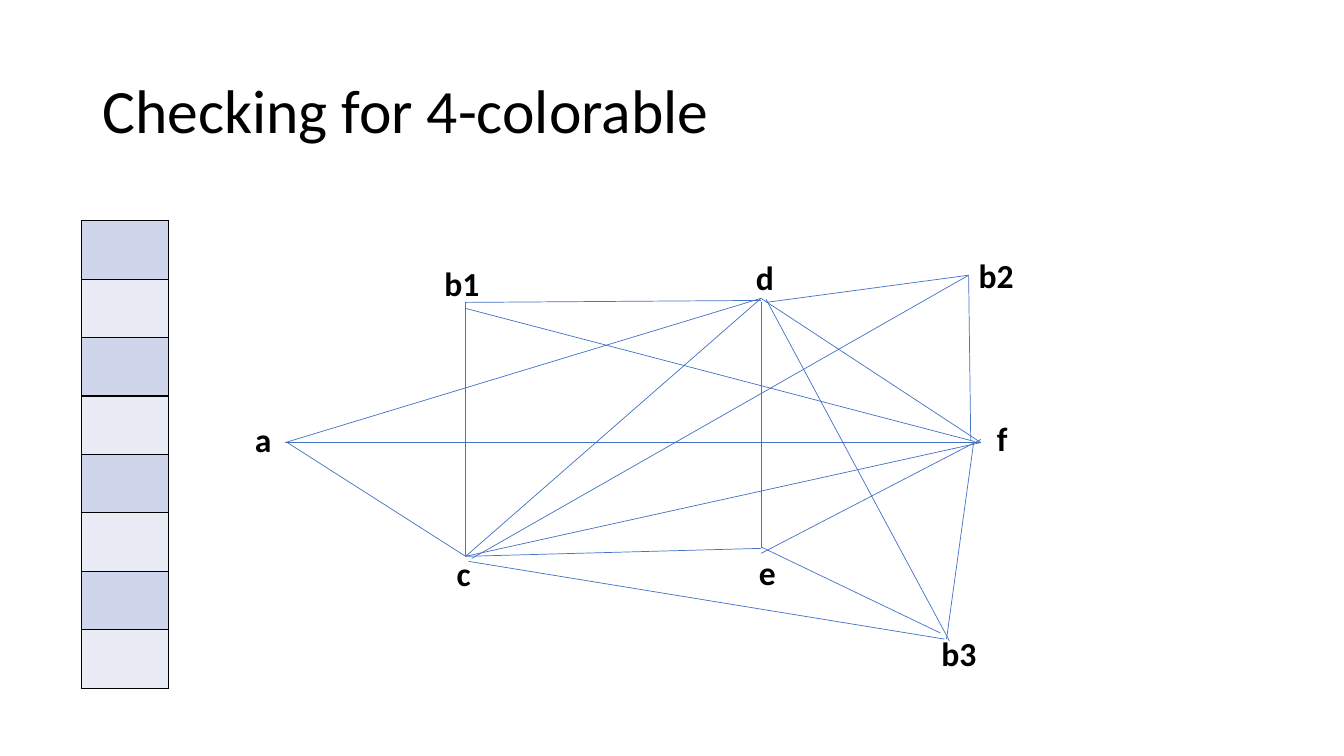
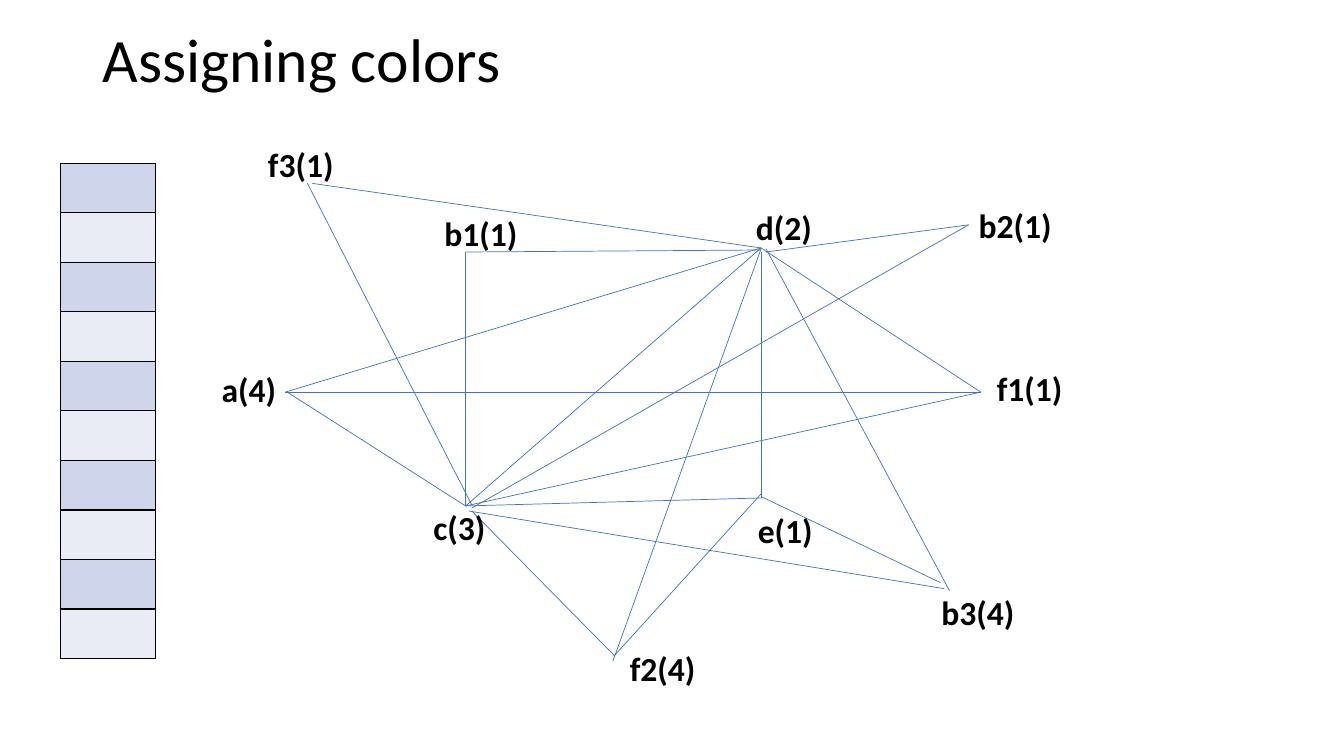
"""Build two slides on colouring the vertices of a graph."""
from dataclasses import dataclass

from lxml.etree import SubElement
from pptx import Presentation
from pptx.dml.color import RGBColor as Rgb
from pptx.enum.shapes import MSO_CONNECTOR as Connector
from pptx.enum.text import MSO_ANCHOR as Anchor, MSO_AUTO_SIZE as AutoSize, PP_ALIGN as Align
from pptx.oxml.ns import qn
from pptx.util import Pt


@dataclass(frozen=True)
class Theme:
    """Colours, type sizes and line widths of the deck."""
    font: str = "Calibri"
    ink: str = "000000"
    edge: str = "4472C4"
    bands: tuple = ("CFD5EA", "E9EBF5")
    title_size: int = 44
    label_size: int = 24
    edge_width: float = 0.5
    border_width: int = 1


THEME = Theme()
TITLE_ONLY = 5
LIFT = 36

SHARED_EDGES = [
    (543.6, 213.1, 700.6, 316.1),
    (332.6, 397.4, 700.6, 316.1),
    (332.6, 397.4, 543.6, 213.1),
    (203.8, 316.1, 543.6, 213.1),
    (205.2, 316.1, 332.6, 397.4),
    (203.8, 316.1, 700.6, 316.1),
    (543.6, 216, 543.6, 391.7),
    (332.6, 397.4, 543.6, 391.7),
    (332.6, 216, 332.6, 397.4),
    (332.6, 216, 543.6, 214.6),
    (337, 398.9, 691.9, 196.6),
    (547.2, 216, 691.9, 196.6),
    (544.3, 391, 671.8, 452.2),
    (334.8, 401, 674.6, 456.5),
    (547.2, 213.8, 678.2, 457.9),
]
CHECKING_EDGES = [
    (543.6, 395.3, 700.6, 313.9),
    (332.6, 220.3, 696.2, 315.4),
    (691.9, 196.6, 693.4, 314.6),
    (695.5, 316.1, 676.1, 456.5),
]
ASSIGNING_EDGES = [
    (543.6, 177.8, 437.8, 472.3),
    (337, 365, 439.2, 468.7),
    (544.3, 352.1, 438.5, 468.7),
    (337, 360.7, 219.6, 131),
    (223.2, 131, 543.6, 177.1),
]
CHECKING_LABELS = [
    ("a", 175, 295.9), ("b1", 310.3, 184.3), ("d", 532.8, 180),
    ("f", 704.9, 295.2), ("e", 535, 391), ("c", 319, 391.7),
    ("b3", 665.3, 448.6), ("b2", 691.9, 178.6),
]
ASSIGNING_LABELS = [
    ("a(4)", 151.2, 259.9), ("b1(1)", 310.3, 148.3), ("d(2)", 532.8, 144),
    ("f1(1)", 704.9, 259.2), ("e(1)", 534.2, 360.7), ("c(3)", 302.4, 358.6),
    ("b3(4)", 665.3, 419), ("b2(1)", 691.9, 142.6), ("f2(4)", 442.8, 459.4),
    ("f3(1)", 184.3, 99.4),
]


def add_run(para, text, size, bold=False):
    """Add one run of text in the deck's font."""
    run = para.add_run()
    run.text = text
    run.font.name = THEME.font
    run.font.size = Pt(size)
    run.font.bold = bold
    run.font.color.rgb = Rgb.from_string(THEME.ink)


def add_title_slide(deck, text, top):
    """Add a title-only slide and format its title."""
    page = deck.slides.add_slide(deck.slide_layouts[TITLE_ONLY])
    title = page.shapes.title
    title.left, title.top, title.width, title.height = Pt(66), Pt(top), Pt(828), Pt(104.4)
    title.text_frame.vertical_anchor = Anchor.MIDDLE
    para = title.text_frame.paragraphs[0]
    para.alignment = Align.LEFT
    para.line_spacing = 0.9
    add_run(para, text, THEME.title_size)
    return page


def add_edges(page, edges, lift=0):
    """Draw graph edges as thin lines, raised by lift."""
    for x1, y1, x2, y2 in edges:
        line = page.shapes.add_connector(
            Connector.STRAIGHT, Pt(x1), Pt(y1 - lift), Pt(x2), Pt(y2 - lift))
        line.line.color.rgb = Rgb.from_string(THEME.edge)
        line.line.width = Pt(THEME.edge_width)
        SubElement(line._element.spPr, qn("a:effectLst"))


def add_labels(page, labels):
    """Write the vertex names in bold."""
    for text, left, top in labels:
        width = 85 if text.startswith("b") else 63
        box = page.shapes.add_textbox(Pt(left), Pt(top), Pt(width), Pt(36))
        box.text_frame.word_wrap = True
        box.text_frame.auto_size = AutoSize.SHAPE_TO_FIT_TEXT
        add_run(box.text_frame.paragraphs[0], text, THEME.label_size, bold=True)


def add_borders(cell):
    """Rule all four sides of a table cell."""
    properties = cell._tc.get_or_add_tcPr()
    for side in ("a:lnL", "a:lnR", "a:lnT", "a:lnB"):
        border = SubElement(properties, qn(side), w=str(Pt(THEME.border_width)))
        fill = SubElement(border, qn("a:solidFill"))
        SubElement(fill, qn("a:srgbClr"), val=THEME.ink)


def add_stack(page, left, top, width, row_height, count):
    """Add a one-column table of empty banded cells."""
    frame = page.shapes.add_table(
        count, 1, Pt(left), Pt(top), Pt(width), Pt(row_height * count))
    table = frame.table
    table.first_row = table.horz_banding = False
    for index, row in enumerate(table.rows):
        row.height = Pt(row_height)
        cell = row.cells[0]
        add_borders(cell)
        cell.fill.solid()
        cell.fill.fore_color.rgb = Rgb.from_string(THEME.bands[index % 2])


def main():
    """Build and save the deck."""
    deck = Presentation()
    deck.slide_width, deck.slide_height = Pt(960), Pt(540)

    page = add_title_slide(deck, "Checking for 4-colorable", 28.8)
    add_edges(page, SHARED_EDGES + CHECKING_EDGES)
    add_labels(page, CHECKING_LABELS)
    add_stack(page, 58, 157.7, 62.6, 41.75, 8)

    page = add_title_slide(deck, "Assigning colors", -7.2)
    add_edges(page, SHARED_EDGES, LIFT)
    add_edges(page, ASSIGNING_EDGES)
    add_labels(page, ASSIGNING_LABELS)
    add_stack(page, 43.2, 116.6, 68, 35.4, 10)

    deck.save("out.pptx")


if __name__ == "__main__":
    main()
